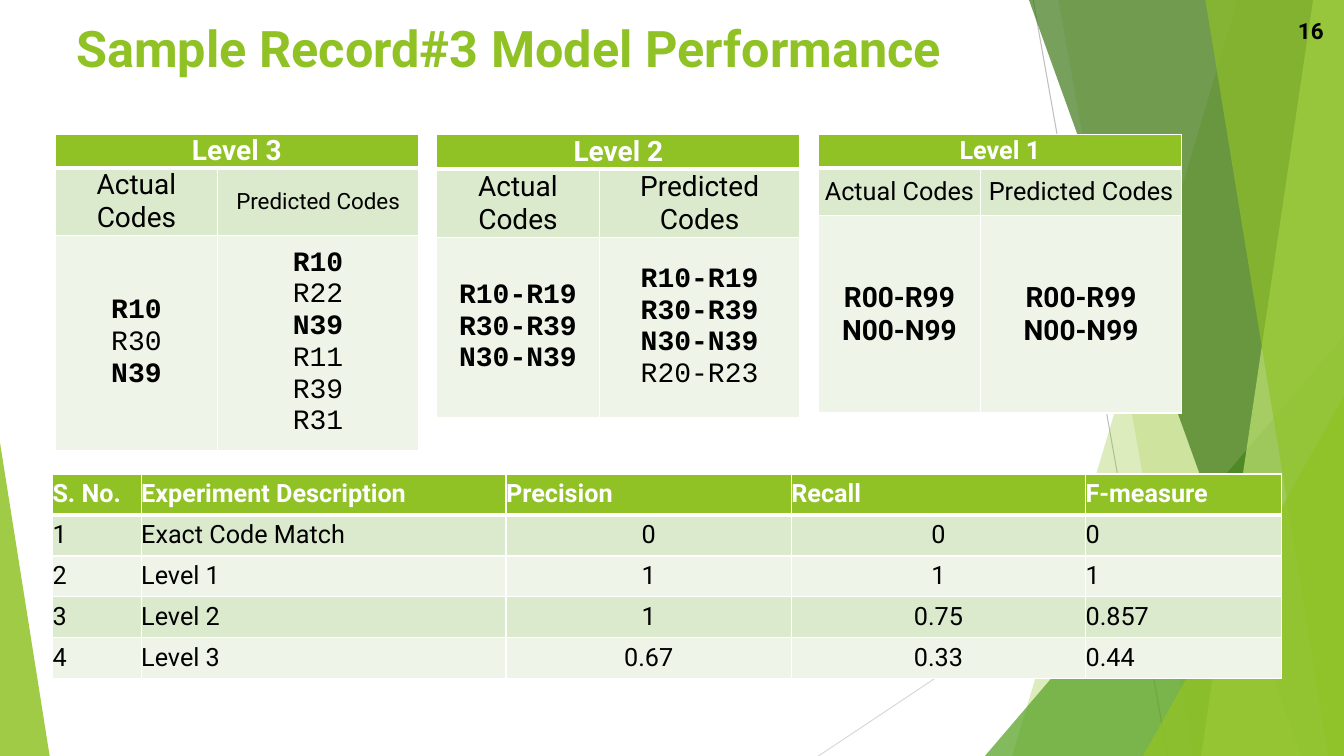
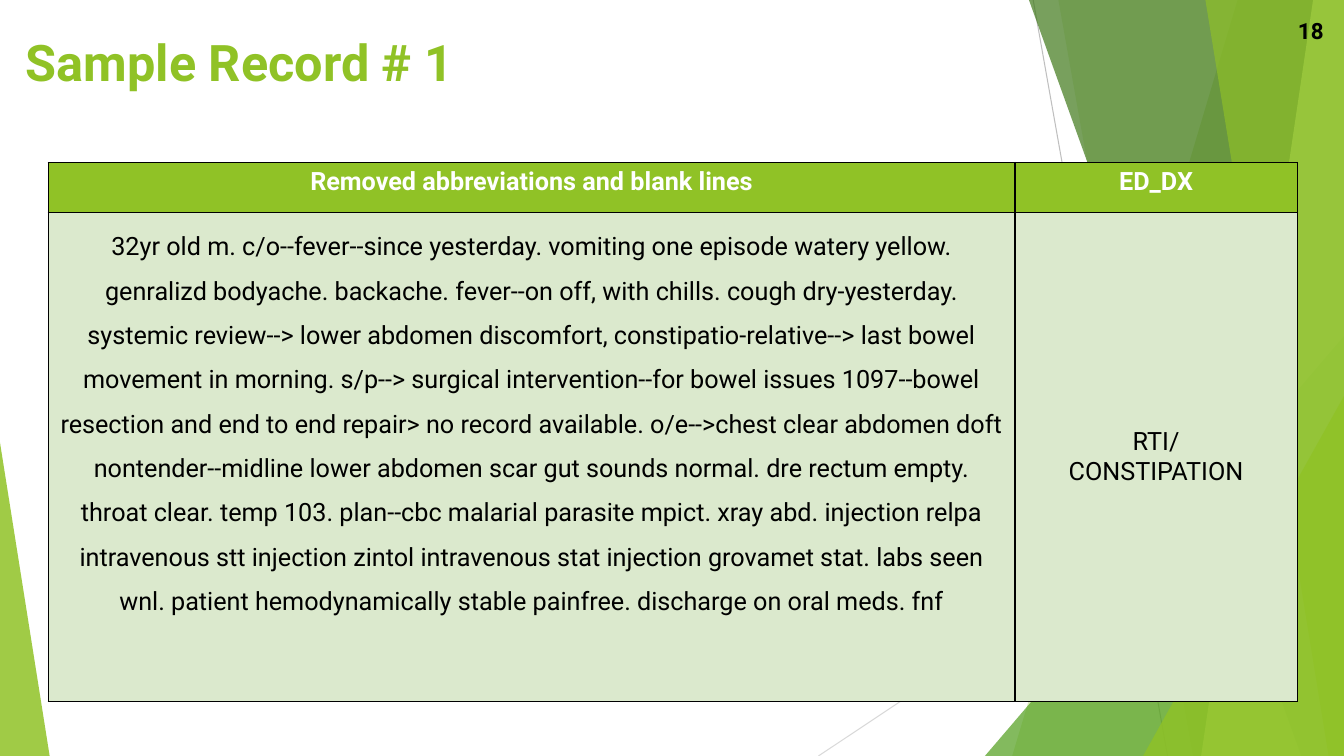
from dataclasses import dataclass

from lxml.etree import SubElement
from pptx import Presentation
from pptx.dml.color import RGBColor
from pptx.enum.shapes import MSO_CONNECTOR, MSO_SHAPE
from pptx.enum.text import MSO_ANCHOR as Anchor, PP_ALIGN as Align
from pptx.oxml.ns import qn
from pptx.util import Pt

# Shared look
WIDTH, HEIGHT = 960, 540
BODY_FONT, CODE_FONT = "Roboto", "Courier New"
WHITE = RGBColor(0xFF, 0xFF, 0xFF)
BLACK = RGBColor(0x00, 0x00, 0x00)
LIME = RGBColor(0x90, 0xC2, 0x26)
GREEN = RGBColor(0x54, 0xA0, 0x21)
FOREST = RGBColor(0x3F, 0x78, 0x19)
PALE_LIME = RGBColor(0xC0, 0xE4, 0x74)
BAND_DARK = RGBColor(0xDB, 0xE9, 0xCD)
BAND_LIGHT = RGBColor(0xEE, 0xF4, 0xE8)
GRAY = RGBColor(0xBF, 0xBF, 0xBF)
LIGHT_GRAY = RGBColor(0xD9, 0xD9, 0xD9)


@dataclass(frozen=True)
class Ray:
    start: tuple[float, float]
    end: tuple[float, float]
    color: RGBColor


@dataclass(frozen=True)
class Band:
    """Slanted band from the top edge to the bottom, filled to the right."""
    top_x: float
    bottom_x: float
    color: RGBColor
    opacity: int


@dataclass(frozen=True)
class Wedge:
    """Right-angled triangle standing on the bottom edge."""
    left: float
    top: float
    width: float
    apex: float
    color: RGBColor
    opacity: int


@dataclass(frozen=True)
class Level:
    name: str
    top_rows: tuple[float, float]
    code_row: float
    header_size: float
    label_sizes: tuple[float, float]
    font: str
    actual: tuple[str, ...]
    predicted: tuple[str, ...]


RAYS = (
    Ray((738, 0), (834, HEIGHT), GRAY),
    Ray((WIDTH, 290), (584.6, HEIGHT), LIGHT_GRAY),
)
FACETS = (
    Band(884, 723, LIME, 30),
    Band(756, 852, LIME, 20),
    Wedge(703.5, 240, 256.5, 1, GREEN, 72),
    Band(735, 929.5, FOREST, 70),
    Band(938, 858, PALE_LIME, 70),
    Band(861, 949, LIME, 65),
    Wedge(816.5, 283, 143.5, 1, LIME, 80),
    Wedge(0, 316, 35.5, 0, LIME, 85),
)

# Content
LEVELS = (
    Level("Level 3", (21.6, 21.6), 154, 20, (20, 16), CODE_FONT,
          ("R10", "R30", "N39"),
          ("R10", "R22", "N39", "R11", "R39", "R31")),
    Level("Level 2", (24.5, 49), 129, 20, (20, 20), CODE_FONT,
          ("R10-R19", "R30-R39", "N30-N39"),
          ("R10-R19", "R30-R39", "N30-N39", "R20-R23")),
    Level("Level 1", (24, 34), 141, 18, (18, 18), BODY_FONT,
          ("R00-R99", "N00-N99"),
          ("R00-R99", "N00-N99")),
)
RESULTS = (
    ("S. No.", "Experiment Description", "Precision", "Recall", "F-measure"),
    ("1", "Exact Code Match", "0", "0", "0"),
    ("2", "Level 1", "1", "1", "1"),
    ("3", "Level 2", "1", "0.75", "0.857"),
    ("4", "Level 3", "0.67", "0.33", "0.44"),
)
RECORD = (
    "32yr old m. c/o--fever--since yesterday. vomiting one episode watery yellow. "
    "genralizd bodyache. backache. fever--on off, with chills. cough dry-yesterday. "
    "systemic review--> lower abdomen discomfort, constipatio-relative--> last bowel "
    "movement in morning. s/p--> surgical intervention--for bowel issues 1097--bowel "
    "resection and end to end repair> no record available. o/e-->chest clear abdomen "
    "doft nontender--midline lower abdomen scar gut sounds normal. dre rectum empty. "
    "throat clear. temp 103. plan--cbc malarial parasite mpict. xray abd. injection "
    "relpa intravenous stt injection zintol intravenous stat injection grovamet stat. "
    "labs seen wnl. patient hemodynamically stable painfree. discharge on oral meds. fnf"
)


def style_runs(paragraph, size: float, color: RGBColor, bold: bool,
               font: str = BODY_FONT) -> None:
    for run in paragraph.runs:
        run.font.size = Pt(size)
        run.font.name = font
        run.font.bold = bold
        run.font.color.rgb = color


def add_label(slide, box: tuple[float, float, float, float], text: str, size: float,
              color: RGBColor, align: Align, anchor: Anchor) -> None:
    frame = slide.shapes.add_textbox(*map(Pt, box)).text_frame
    frame.word_wrap = True
    frame.vertical_anchor = anchor
    frame.text = text
    frame.paragraphs[0].alignment = align
    style_runs(frame.paragraphs[0], size, color, True)


def add_ray(slide, ray: Ray) -> None:
    line = slide.shapes.add_connector(
        MSO_CONNECTOR.STRAIGHT, *map(Pt, ray.start + ray.end))
    line.line.color.rgb = ray.color
    line.line.width = Pt(0.75)
    SubElement(line._element.spPr, qn("a:effectLst"))


def add_facet(slide, facet: Band | Wedge) -> None:
    if isinstance(facet, Band):
        outline = slide.shapes.build_freeform(Pt(facet.top_x), 0)
        corners = ((WIDTH, 0), (WIDTH, HEIGHT), (facet.bottom_x, HEIGHT))
        outline.add_line_segments([(Pt(x), Pt(y)) for x, y in corners])
        shape = outline.convert_to_shape()
    else:
        shape = slide.shapes.add_shape(
            MSO_SHAPE.ISOSCELES_TRIANGLE, Pt(facet.left), Pt(facet.top),
            Pt(facet.width), Pt(HEIGHT - facet.top))
        shape.adjustments[0] = facet.apex
    shape.shadow.inherit = False
    shape.line.fill.background()
    shape.fill.solid()
    shape.fill.fore_color.rgb = facet.color
    color = shape._element.spPr.find(f"{qn('a:solidFill')}/{qn('a:srgbClr')}")
    SubElement(color, qn("a:alpha"), val=str(facet.opacity * 1000))


def start_slide(deck, title: str, left: float, top: float):
    slide = deck.slides.add_slide(deck.slide_layouts[6])
    for ray in RAYS:
        add_ray(slide, ray)
    for facet in FACETS:
        add_facet(slide, facet)
    add_label(slide, (left, top, 828, 59), title, 36, LIME, Align.LEFT, Anchor.TOP)
    return slide


def add_page_number(slide, number: int) -> None:
    add_label(slide, (898.5, 7, 54, 29), str(number), 16, BLACK,
              Align.RIGHT, Anchor.MIDDLE)


# Tables
def set_borders(cell, color: RGBColor, top: float = 1, bottom: float = 1) -> None:
    properties = cell._tc.get_or_add_tcPr()
    for side, width in (("L", 1), ("R", 1), ("T", top), ("B", bottom)):
        line = SubElement(properties, qn(f"a:ln{side}"), w=str(Pt(width)))
        fill = SubElement(line, qn("a:solidFill"))
        SubElement(fill, qn("a:srgbClr"), val=str(color))


def add_grid(slide, left: float, top: float, columns: tuple[float, ...],
             rows: tuple[float, ...], border: RGBColor, header_rule: float = 1,
             tight: bool = True):
    """Add a table with a lime header and alternating pale rows."""
    table = slide.shapes.add_table(
        len(rows), len(columns), Pt(left), Pt(top),
        Pt(sum(columns)), Pt(sum(rows))).table
    for column, width in zip(table.columns, columns):
        column.width = Pt(width)
    for r, height in enumerate(rows):
        table.rows[r].height = Pt(height)
        for cell in table.rows[r].cells:
            set_borders(cell, border, top=header_rule if r == 1 else 1,
                        bottom=header_rule if r == 0 else 1)
            cell.fill.solid()
            cell.fill.fore_color.rgb = (
                LIME if r == 0 else BAND_DARK if r % 2 else BAND_LIGHT)
            cell.vertical_anchor = Anchor.MIDDLE
            if tight:
                cell.margin_left = cell.margin_right = 0
                cell.margin_top = cell.margin_bottom = 0
    return table


def write_cell(cell, lines: tuple[str, ...], size: float = 18,
               color: RGBColor = BLACK, bold_lines: tuple[str, ...] = (),
               align: Align = Align.CENTER, font: str = BODY_FONT) -> None:
    cell.text_frame.text = "\n".join(lines)
    for paragraph, line in zip(cell.text_frame.paragraphs, lines):
        paragraph.alignment = align
        style_runs(paragraph, size, color, line in bold_lines, font)


def write_header(cell, text: str, size: float = 18,
                 align: Align = Align.CENTER) -> None:
    write_cell(cell, (text,), size, WHITE, (text,), align)


def add_results(slide) -> None:
    table = add_grid(slide, 37.5, 338.5, (63.4, 260.6, 203.8, 210.2, 139.7),
                     (29.3,) * len(RESULTS), WHITE, header_rule=3)
    for c, heading in enumerate(RESULTS[0]):
        write_header(table.cell(0, c), heading, align=Align.LEFT)
    for r, values in enumerate(RESULTS[1:], 1):
        for c, value in enumerate(values):
            align = Align.CENTER if c in (2, 3) else Align.LEFT
            write_cell(table.cell(r, c), (value,), align=align)


def add_level(slide, level: Level, left: float) -> None:
    table = add_grid(slide, left, 96, (116, 143.5),
                     (*level.top_rows, level.code_row), WHITE, header_rule=3)
    table.cell(0, 0).merge(table.cell(0, 1))
    write_header(table.cell(0, 0), level.name, level.header_size)
    # Codes found in both columns are bold
    matches = tuple(code for code in level.actual if code in level.predicted)
    columns = (("Actual Codes", level.actual), ("Predicted Codes", level.predicted))
    for c, (label, codes) in enumerate(columns):
        write_cell(table.cell(1, c), (label,), level.label_sizes[c])
        write_cell(table.cell(2, c), codes, 20, bold_lines=matches, font=level.font)


def add_record(slide) -> None:
    table = add_grid(slide, 34.5, 116, (690.5, 201.6), (36, 349), BLACK, tight=False)
    for c, heading in enumerate(("Removed abbreviations and blank lines", "ED_DX")):
        write_header(table.cell(0, c), heading)
        table.cell(0, c).vertical_anchor = Anchor.TOP
    notes = table.cell(1, 0)
    write_cell(notes, (RECORD,))
    notes.vertical_anchor = Anchor.TOP
    notes.text_frame.paragraphs[0].line_spacing = 1.5
    write_cell(table.cell(1, 1), ("RTI/", "CONSTIPATION"))


def main() -> None:
    deck = Presentation()
    deck.slide_width, deck.slide_height = Pt(WIDTH), Pt(HEIGHT)

    # Model performance
    performance = start_slide(deck, "Sample Record#3 Model Performance", 47.5, 9)
    add_results(performance)
    for i, level in enumerate(LEVELS):
        add_level(performance, level, 39.5 + i * 272.5)
    add_page_number(performance, 16)

    # Sample record
    sample = start_slide(deck, "Sample Record # 1", 11.5, 19)
    add_record(sample)
    add_page_number(sample, 18)

    deck.save("out.pptx")


if __name__ == "__main__":
    main()
